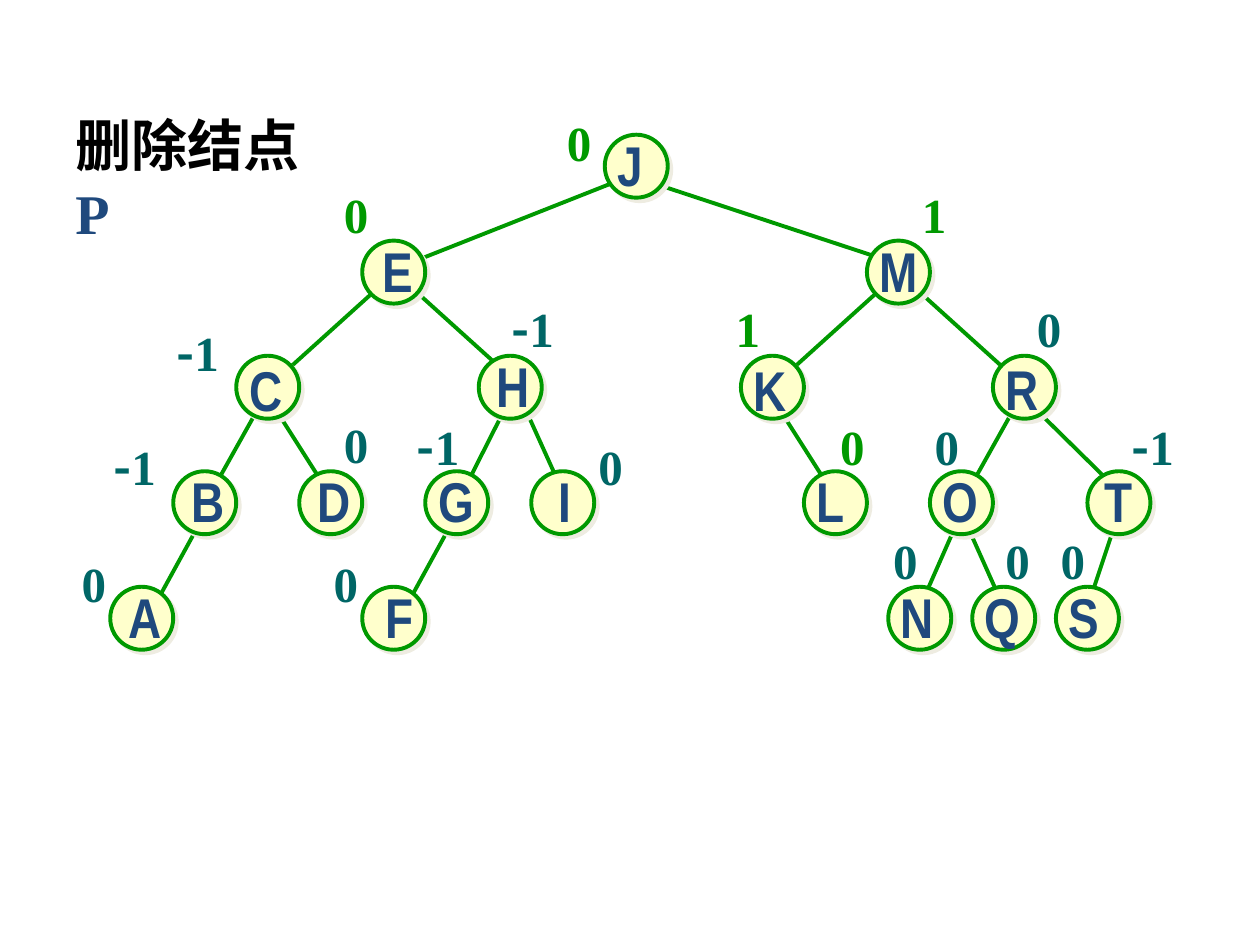
from collections import namedtuple
from dataclasses import dataclass

from lxml.etree import SubElement
from pptx import Presentation
from pptx.dml.color import RGBColor
from pptx.enum.shapes import MSO_CONNECTOR as Connector, MSO_SHAPE as Shape
from pptx.oxml.ns import qn
from pptx.util import Pt


@dataclass(frozen=True)
class Theme:
    black: str = "000000"
    navy: str = "1F497D"
    green: str = "009900"
    teal: str = "006666"
    cream: str = "FFFFCC"
    shade: str = "EEECE1"
    serif: str = "Times New Roman"
    narrow: str = "Arial Narrow"
    cjk: str = "Noto Sans CJK SC"
    large: float = 32
    small: float = 28
    stroke: float = 2.25


THEME = Theme()
DIAMETER = 36
LEVEL_TOPS = (77, 137.5, 203.3, 269.3, 335.3)
LETTER_RISE = {"C": 3.6, "K": 3.6, "R": 4.3}
ON_PATH = set("JEMKL")  # nodes whose balance factor is green

# Circle left and tree level, letter left and width, balance factor and its corner
Node = namedtuple("Node", "name left level letter_left letter_width balance x y")
NODES = [Node(*row) for row in (
    ("A", 63, 4, 66.2, 34, "0", 39.6, 312.5),
    ("B", 99, 3, 102.2, 34, "-1", 57.6, 246.2),
    ("C", 135, 2, 135.4, 34, "-1", 93.6, 180.7),
    ("D", 171, 3, 174.2, 34, "0", 189.4, 233.3),
    ("E", 207, 1, 211.7, 31.7, "0", 189.4, 102.2),
    ("F", 207, 4, 213.1, 30.2, "0", 183.6, 312.5),
    ("G", 243, 3, 243.4, 34.6, "-1", 231.1, 234.7),
    ("H", 273.6, 2, 276.5, 34, "-1", 285.1, 167),
    ("I", 303.6, 3, 311.8, 21.6, "0", 334.8, 246.2),
    ("J", 345.6, 0, 345.6, 28.8, "0", 316.8, 60.5),
    ("K", 423.4, 2, 423.4, 34, "1", 413.3, 167),
    ("L", 459.4, 3, 459.4, 41.8, "0", 473, 234.7),
    ("M", 495.4, 1, 495.4, 36.7, "1", 519.8, 102.2),
    ("N", 507.6, 4, 507.6, 34, "0", 503.3, 299.5),
    ("O", 531.4, 3, 531.4, 34.6, "0", 527, 234.7),
    ("Q", 555.6, 4, 555.6, 34.6, "0", 567.4, 299.5),
    ("R", 567.4, 2, 567.4, 34, "0", 585.4, 167),
    ("S", 603.4, 4, 603.4, 31.7, "0", 599, 299.5),
    ("T", 621.4, 3, 624.2, 30.2, "-1", 639.4, 234.7),
)]

# Branch ends, parent first: x, y, x, y
BRANCHES = (
    (357.8, 101.5, 237.6, 149), (363.6, 101.5, 507.6, 149),          # J-E, J-M
    (219.6, 161.3, 159.8, 215.3), (231.8, 161.3, 291.6, 215.3),      # E-C, E-H
    (507.6, 161.3, 447.8, 215.3), (525.6, 167, 585.4, 221),          # M-K, M-R
    (147.6, 233.3, 117.4, 287.3), (153.4, 227.5, 183.6, 275),        # C-B, C-D
    (291.6, 227.5, 261.4, 287.3), (297.4, 227.5, 321.8, 281.5),      # H-G, H-I
    (441.4, 227.5, 471.6, 275),                                      # K-L
    (579.6, 233.3, 549.4, 287.3), (585.4, 227.5, 633.6, 275),        # R-O, R-T
    (117.4, 293, 87.8, 347), (261.4, 293, 231.8, 347),               # B-A, G-F
    (549.4, 293, 525.6, 347), (549.4, 293, 571, 341.3),              # O-N, O-Q
    (639.4, 293, 621.4, 347),                                        # T-S
)


def rgb(value):
    return RGBColor.from_string(value)


def stroke(line):
    line.color.rgb = rgb(THEME.green)
    line.width = Pt(THEME.stroke)


def add_text(page, left, top, width, height, spans):
    """Add one paragraph; each span is (text, font, size, colour)."""
    box = page.shapes.add_textbox(*map(Pt, (left, top, width, height)))
    box.text_frame.word_wrap = True
    para = box.text_frame.paragraphs[0]
    for text, face, size, colour in spans:
        span = para.add_run()
        span.text = text
        for name, value in {"name": face, "size": Pt(size), "bold": True}.items():
            setattr(span.font, name, value)
        span.font.color.rgb = rgb(colour)
        SubElement(span.font._element, qn("a:ea"), typeface=THEME.cjk)


def add_branch(page, ends):
    branch = page.shapes.add_connector(Connector.STRAIGHT, *map(Pt, ends))
    stroke(branch.line)
    SubElement(branch._element.spPr, qn("a:effectLst"))


def add_circle(page, node):
    bounds = (node.left, LEVEL_TOPS[node.level], DIAMETER, DIAMETER)
    circle = page.shapes.add_shape(Shape.OVAL, *map(Pt, bounds))
    circle.fill.solid()
    circle.fill.fore_color.rgb = rgb(THEME.cream)
    stroke(circle.line)
    # Hard shadow towards the lower right
    circle.shadow.inherit = False
    effects = circle._element.spPr.find(qn("a:effectLst"))
    shadow = SubElement(effects, qn("a:outerShdw"), dist=str(Pt(2.8)),
                        dir="2700000", algn="ctr", rotWithShape="0")
    SubElement(shadow, qn("a:srgbClr"), val=THEME.shade)


def add_letter(page, node):
    top = LEVEL_TOPS[node.level] - LETTER_RISE.get(node.name, 6)
    add_text(page, node.letter_left, top, node.letter_width, 45.4,
             [(node.name, THEME.narrow, THEME.large, THEME.navy)])


def add_balance(page, node):
    colour = THEME.green if node.name in ON_PATH else THEME.teal
    spans = [(char, THEME.cjk if char == "-" else THEME.serif, THEME.small, colour)
             for char in node.balance]
    width = 28.8 if len(spans) == 1 else 42.5
    add_text(page, node.x, node.y, width, 41, spans)


def main():
    deck = Presentation()
    deck.slide_width, deck.slide_height = Pt(720), Pt(540)
    page = deck.slides.add_slide(deck.slide_layouts[6])

    # Heading, narrow enough for the key to fall on the second line
    add_text(page, 36, 59.8, 158, 45.4,
             [("删除结点", THEME.serif, THEME.large, THEME.black),
              ("P", THEME.serif, THEME.large, THEME.navy)])

    # Tree: branches at the back, then circles, letters and balance factors
    for ends in BRANCHES:
        add_branch(page, ends)
    for add_part in (add_circle, add_letter, add_balance):
        for node in NODES:
            add_part(page, node)

    deck.save("out.pptx")


if __name__ == "__main__":
    main()
